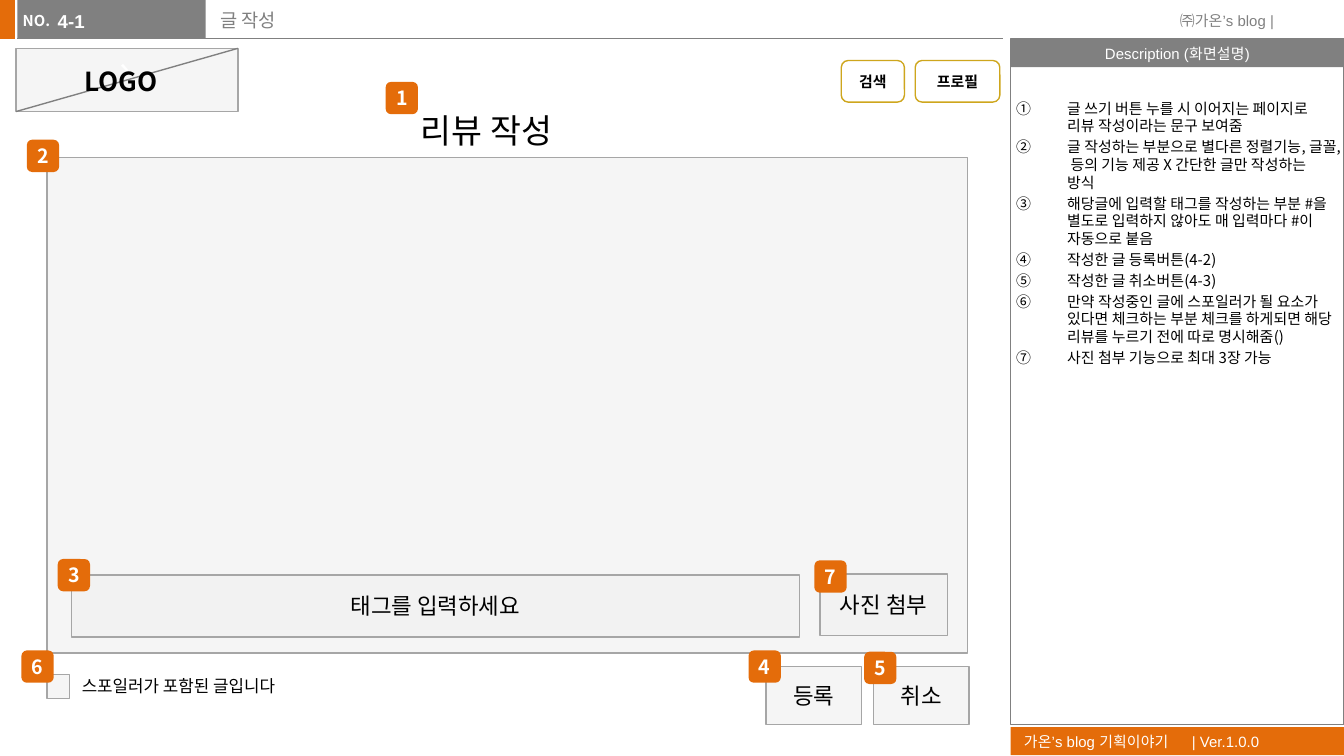
from lxml import etree
from pptx import Presentation
from pptx.dml.color import RGBColor
from pptx.enum import shapes, text
from pptx.oxml import ns
from pptx.util import Inches, Pt

NOTO, ARIAL = "Noto Sans CJK KR", "Arial"
ORANGE, GRAY, PANEL, BORDER = "E46C0A", "808080", "F2F2F2", "A6A6A6"
WHITE, BLACK, GOLD = "FFFFFF", "000000", "CEA61D"
RECT = shapes.MSO_SHAPE.RECTANGLE
ROUND = shapes.MSO_SHAPE.ROUNDED_RECTANGLE
LEFT, CENTER = text.PP_ALIGN.LEFT, text.PP_ALIGN.CENTER


def add_box(x, y, w, h, kind=RECT, fill=None, line=None, width=0.75, alpha=None):
    sp = s.shapes.add_shape(kind, Inches(x), Inches(y), Inches(w), Inches(h))
    sp.shadow.inherit = False
    if fill:
        sp.fill.solid()
        sp.fill.fore_color.rgb = RGBColor.from_string(fill)
    else:
        sp.fill.background()
    if alpha:
        clr = sp.fill._xPr.find(".//" + ns.qn("a:srgbClr"))
        etree.SubElement(clr, ns.qn("a:alpha")).set("val", str(alpha * 1000))
    if line:
        sp.line.color.rgb = RGBColor.from_string(line)
        sp.line.width = Pt(width)
    else:
        sp.line.fill.background()
    return sp


def write(sp, words, size, color=BLACK, bold=False, font=NOTO, align=CENTER, wrap=True, side=0.1):
    tf = sp.text_frame
    tf.text = words
    tf.word_wrap = wrap
    if not wrap:
        tf.auto_size = text.MSO_AUTO_SIZE.SHAPE_TO_FIT_TEXT
    tf.vertical_anchor = text.MSO_ANCHOR.MIDDLE
    tf.margin_left = tf.margin_right = Inches(side)
    for p in tf.paragraphs:
        p.alignment = align
        for r in p.runs:
            r.font.size = Pt(size)
            r.font.bold = bold
            r.font.name = font
            r.font.color.rgb = RGBColor.from_string(color)
            etree.SubElement(r.font._element, ns.qn("a:ea")).set("typeface", font)
    return tf


prs = Presentation()
prs.slide_width = Inches(10)
prs.slide_height = prs.slide_width * 9 // 16
s = prs.slides.add_slide(prs.slide_layouts[6])

add_box(-0.01, 0, 0.12, 0.29, fill=ORANGE)
footer = add_box(7.52, 5.41, 2.48, 0.21, fill=ORANGE)
tf = write(footer, "가온’s blog 기획이야기\t| Ver.1.0.0", 8, WHITE, font=ARIAL, align=LEFT)
tabs = etree.SubElement(tf.paragraphs[0]._p.get_or_add_pPr(), ns.qn("a:tabLst"))
etree.SubElement(tabs, ns.qn("a:tab"), pos=str(Inches(1.25)), algn="l")
add_box(0.13, 0, 1.4, 0.29, fill=GRAY)
header = add_box(7.52, 0.29, 2.48, 0.21, fill=GRAY)
write(header, "Description (화면설명)", 8, WHITE, font=ARIAL)
add_box(7.52, 0.29, 2.48, 5.1, line=GRAY)

logo = add_box(0.12, 0.36, 1.65, 0.47, fill=PANEL, line=BORDER, alpha=70)
write(logo, "`", 18, WHITE)

for x1, y1, x2, y2, width in [(0.13, 0.29, 7.46, 0.29, 0.5), (1.77, 0.36, 0.12, 0.83, 0.75)]:
    cn = s.shapes.add_connector(shapes.MSO_CONNECTOR.STRAIGHT, Inches(x1), Inches(y1), Inches(x2), Inches(y2))
    cn.line.color.rgb = RGBColor.from_string(GRAY)
    cn.line.width = Pt(width)
    etree.SubElement(cn._element.spPr, ns.qn("a:effectLst"))

for x, y, w, h, label in [
    (0.35, 1.17, 6.85, 3.69, ""),
    (0.35, 5.02, 0.17, 0.18, ""),
    (5.7, 4.96, 0.71, 0.43, "등록"),
    (6.5, 4.96, 0.71, 0.43, "취소"),
    (0.53, 4.28, 5.42, 0.46, "태그를 입력하세요"),
    (6.1, 4.27, 0.95, 0.46, "사진 첨부"),
]:
    panel = add_box(x, y, w, h, fill=PANEL, line=BORDER, alpha=70)
    if label:
        write(panel, label, 12)

for x, w, label in [(6.26, 0.47, "검색"), (6.81, 0.63, "프로필")]:
    write(add_box(x, 0.45, w, 0.31, ROUND, line=GOLD, width=0), label, 8, bold=True, side=0)

for x, y, w, h, words, size, color, bold, font, align, wrap, side in [
    (0.07, 0.03, 0.41, 0.24, "NO.", 8, WHITE, True, NOTO, LEFT, False, 0.1),
    (0.43, 0, 1.1, 0.31, "4-1", 10, WHITE, True, ARIAL, LEFT, True, 0),
    (1.54, 0, 5.91, 0.3, "글 작성", 10, GRAY, False, NOTO, LEFT, True, 0.1),
    (8.68, 0.03, 0.95, 0.24, "㈜가온’s blog |", 8, GRAY, False, ARIAL, LEFT, False, 0.1),
    (0.53, 0.44, 0.77, 0.33, "LOGO", 14, BLACK, True, NOTO, LEFT, False, 0.1),
    (2.48, 0.77, 2.28, 0.4, "리뷰 작성", 18, BLACK, False, NOTO, CENTER, True, 0.1),
    (0.51, 4.98, 1.89, 0.25, "스포일러가 포함된 글입니다", 9, BLACK, False, NOTO, LEFT, True, 0.1),
]:
    tb = s.shapes.add_textbox(Inches(x), Inches(y), Inches(w), Inches(h))
    write(tb, words, size, color, bold, font, align, wrap, side)

badges = [(2.87, 0.61), (0.2, 1.04), (0.43, 4.16), (5.57, 4.84), (6.43, 4.85), (0.16, 4.84), (6.06, 4.17)]
for number, (x, y) in enumerate(badges, 1):
    write(add_box(x, y, 0.24, 0.24, ROUND, fill=ORANGE), str(number), 10.5, WHITE, True, side=0)

notes = [
    "글 쓰기 버튼 누를 시 이어지는 페이지로 리뷰 작성이라는 문구 보여줌",
    "글 작성하는 부분으로 별다른 정렬기능, 글꼴, 등의 기능 제공 X 간단한 글만 작성하는 방식",
    "해당글에 입력할 태그를 작성하는 부분 #을 별도로 입력하지 않아도 매 입력마다 #이 자동으로 붙음",
    "작성한 글 등록버튼(4-2)",
    "작성한 글 취소버튼(4-3)",
    "만약 작성중인 글에 스포일러가 될 요소가 있다면 체크하는 부분 체크를 하게되면 해당 리뷰를 누르기 전에 따로 명시해줌()",
    "사진 첨부 기능으로 최대 3장 가능",
]
tb = s.shapes.add_textbox(Inches(7.52), Inches(0.69), Inches(2.48), Inches(4.7))
tf = write(tb, "\n".join(notes), 8, align=LEFT)
tf.vertical_anchor = text.MSO_ANCHOR.TOP
tf.margin_left, tf.margin_right = Inches(0.04), Inches(0.05)
for p in tf.paragraphs:
    p.line_spacing = Pt(9.5)
    p.space_before = Pt(1.7)
    pPr = p._p.get_or_add_pPr()
    pPr.set("marL", str(Inches(0.38)))
    pPr.set("indent", str(-Inches(0.38)))
    etree.SubElement(pPr, ns.qn("a:buFont"), typeface=NOTO)
    etree.SubElement(pPr, ns.qn("a:buAutoNum"), type="circleNumDbPlain")

prs.save("out.pptx")
